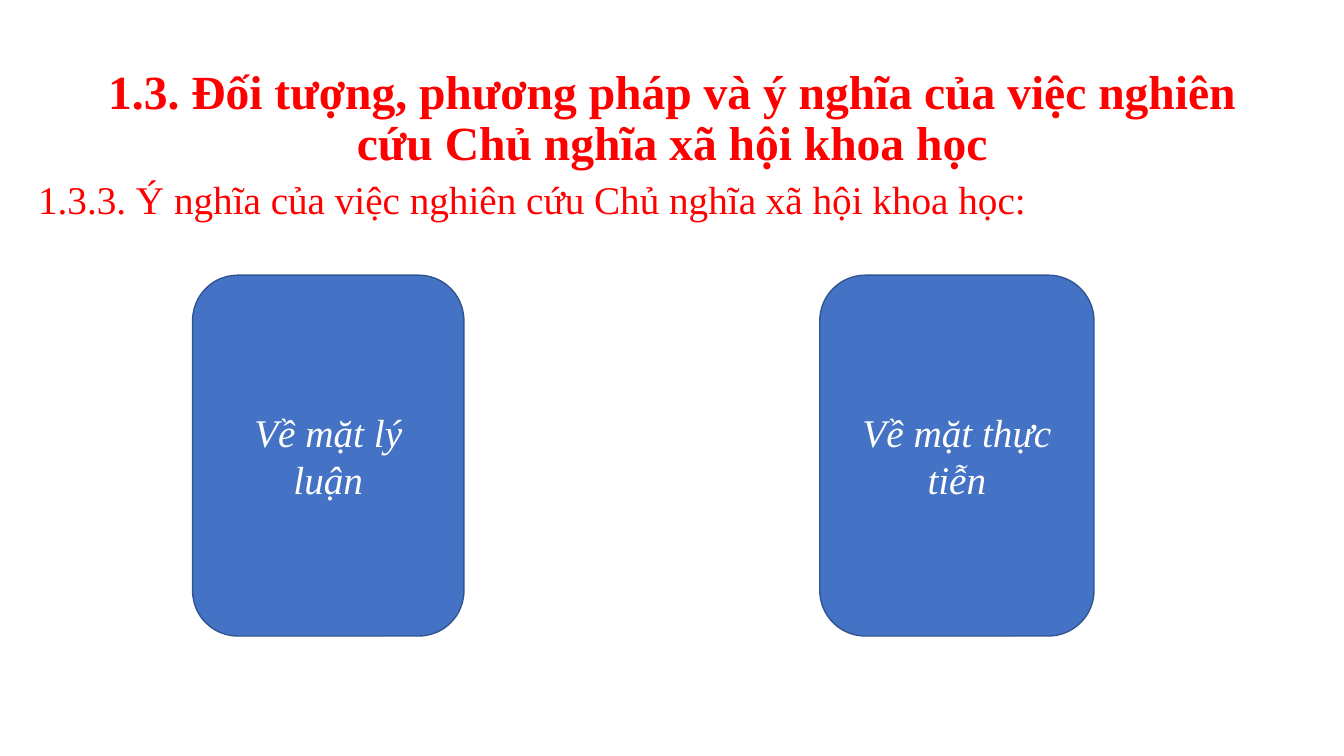
from pptx import Presentation, util as u
from pptx.dml.color import RGBColor
from pptx.enum import shapes, text

FONT = "Times New Roman"
RED, BLUE, NAVY, WHITE = "FF0000", "4472C4", "325491", "FFFFFF"
TITLE = "1.3. Đối tượng, phương pháp và ý nghĩa của việc nghiên cứu Chủ nghĩa xã hội khoa học"
SUBTITLE = "1.3.3. Ý nghĩa của việc nghiên cứu Chủ nghĩa xã hội khoa học:"
# Label, then left edge and width in percent of the card row
CARDS = [("Về mặt lý luận", 0, 30.1), ("Về mặt thực tiễn", 69.58, 30.42)]


def color(value):
    return RGBColor.from_string(value)


def part(box, left, top, width, height):
    """Return the part of a box that is given in percent of its size."""
    x, y, w, h = box
    return (int(x + w * left / 100), int(y + h * top / 100),
            int(w * width / 100), int(h * height / 100))


def write(sp, words, *, size=28, ink=RED, bold=False, italic=False,
          align=text.PP_ALIGN.CENTER, anchor=text.MSO_ANCHOR.MIDDLE, spacing=1.0):
    tf = sp.text_frame
    tf.word_wrap = True
    tf.vertical_anchor = anchor
    p = tf.paragraphs[0]
    p.alignment = align
    p.line_spacing = spacing
    r = p.add_run()
    r.text = words
    r.font.name = FONT
    r.font.size = u.Pt(size)
    r.font.bold = bold
    r.font.italic = italic
    r.font.color.rgb = color(ink)


def add_heading(s, box):
    title = s.shapes.add_textbox(*part(box, 5.27, 0, 94.73, 80.56))
    write(title, TITLE, size=34, bold=True, spacing=0.9)
    subtitle = s.shapes.add_textbox(*part(box, 0, 68.33, 93.9, 31.67))
    write(subtitle, SUBTITLE, align=text.PP_ALIGN.LEFT, anchor=text.MSO_ANCHOR.TOP)


def add_cards(s, box):
    for label, left, width in CARDS:
        sp = s.shapes.add_shape(shapes.MSO_SHAPE.ROUNDED_RECTANGLE,
                                *part(box, left, 0, width, 100))
        sp.shadow.inherit = False
        sp.fill.solid()
        sp.fill.fore_color.rgb = color(BLUE)
        sp.line.color.rgb = color(NAVY)
        sp.line.width = u.Pt(1)
        write(sp, label, ink=WHITE, italic=True)


def main():
    prs = Presentation()
    prs.slide_width, prs.slide_height = u.Inches(13.33), u.Inches(7.5)
    s = prs.slides.add_slide(prs.slide_layouts[6])
    page = (0, 0, prs.slide_width, prs.slide_height)
    add_heading(s, part(page, 2.1, 6.13, 91.07, 24))
    add_cards(s, part(page, 14.33, 36.4, 67.07, 47.73))
    prs.save("out.pptx")


if __name__ == "__main__":
    main()
